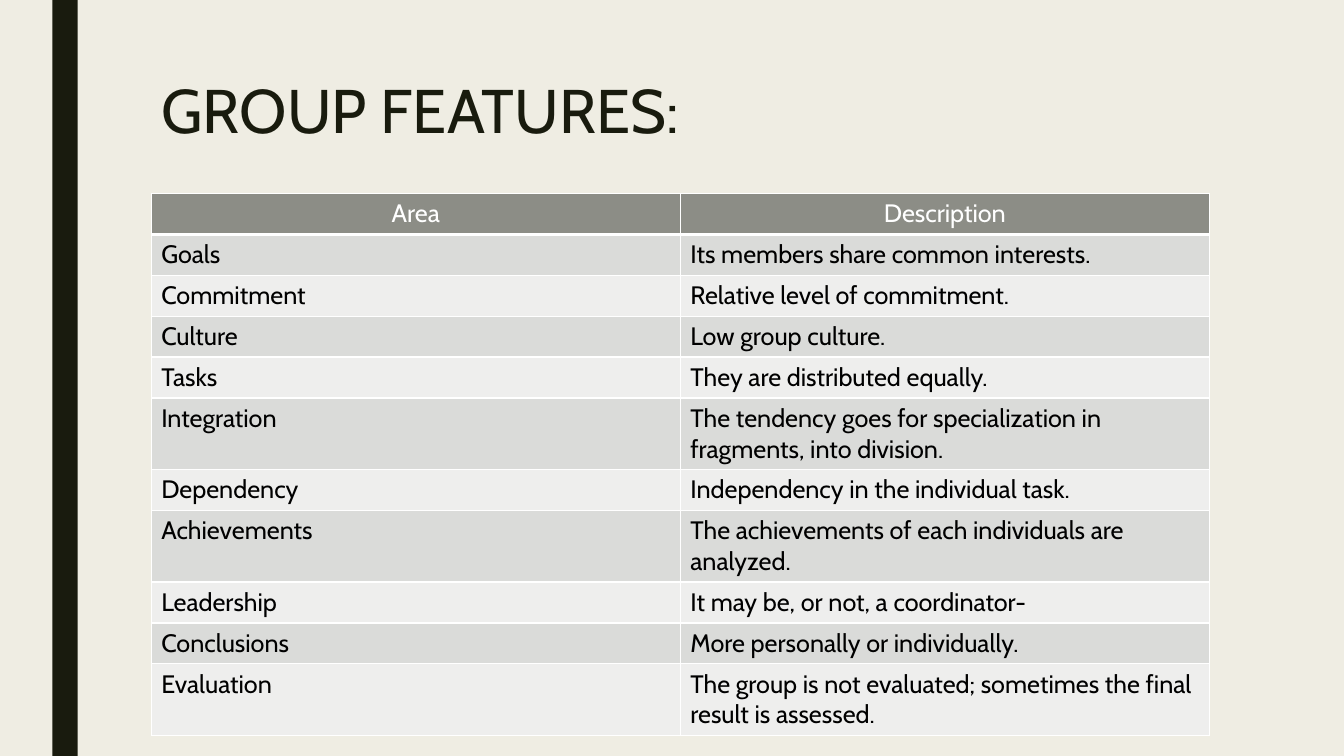
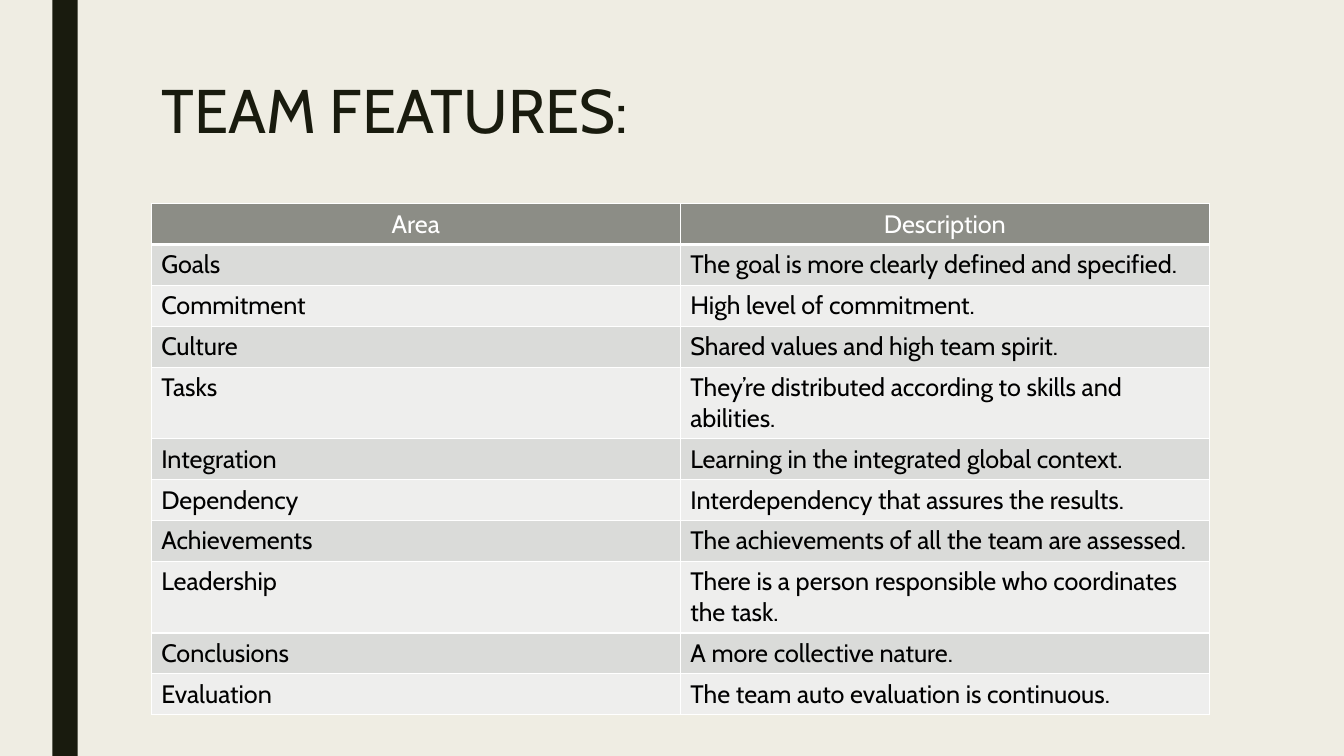
"""Build two slides that compare the features of groups and of teams."""
from lxml.etree import SubElement
from pptx import Presentation
from pptx.dml.color import RGBColor as RGB
from pptx.enum.shapes import MSO_SHAPE as SHAPE
from pptx.enum.text import MSO_ANCHOR as ANCHOR, PP_ALIGN as ALIGN
from pptx.oxml.ns import qn
from pptx.util import Pt

UNIT = 4572
FONT = "Cabin"
PAPER, INK, WHITE, BLACK = "EFEDE3", "191B0E", "FFFFFF", "000000"
HEAD, BANDS = "8C8D86", ("EEEEED", "DADBD9")
LEFT, WIDTH = 300, 2100
LOW, HIGH, LIMIT = 81, 142, 48

AREAS = ("Goals", "Commitment", "Culture", "Tasks", "Integration", "Dependency",
         "Achievements", "Leadership", "Conclusions", "Evaluation")
GROUP = (
    "Its members share common interests.",
    "Relative level of commitment.",
    "Low group culture.",
    "They are distributed equally.",
    "The tendency goes for specialization in fragments, into division.",
    "Independency in the individual task.",
    "The achievements of each individuals are analyzed.",
    "It may be, or not, a coordinator-",
    "More personally or individually.",
    "The group is not evaluated; sometimes the final result is assessed.",
)
TEAM = (
    "The goal is more clearly defined and specified.",
    "High level of commitment.",
    "Shared values and high team spirit.",
    "They’re distributed according to skills and abilities.",
    "Learning in the integrated global context.",
    "Interdependency that assures the results.",
    "The achievements of all the team are assessed.",
    "There is a person responsible who coordinates the task.",
    "A more collective nature.",
    "The team auto evaluation is continuous.",
)


def px(*sizes):
    return [size * UNIT for size in sizes]


def paint(fill, color):
    fill.solid()
    fill.fore_color.rgb = RGB.from_string(color)


def style(para, size, color, align):
    para.alignment = align
    para.font.name = FONT
    para.font.size = Pt(size)
    para.font.color.rgb = RGB.from_string(color)


def add_band(slide):
    band = slide.shapes.add_shape(SHAPE.RECTANGLE, *px(104, 0, 50, 1500))
    band.shadow.inherit = False
    paint(band.fill, INK)
    band.line.fill.background()


def add_title(slide, text):
    title = slide.shapes.title
    title.left, title.top, title.width, title.height = px(LEFT, 150, WIDTH, 324)
    frame = title.text_frame
    frame.text = text
    frame.vertical_anchor = ANCHOR.TOP
    para = frame.paragraphs[0]
    para.line_spacing = 0.89
    style(para, 44, INK, ALIGN.LEFT)


def add_edges(cell, base):
    props = cell._tc.get_or_add_tcPr()
    for side, width in zip("LRTB", (1, 1, 1, base)):
        line = SubElement(props, qn(f"a:ln{side}"), w=str(Pt(width)))
        fill = SubElement(line, qn("a:solidFill"))
        SubElement(fill, qn("a:srgbClr"), val=WHITE)


def fill_cell(cell, text, head, color):
    cell.text = text
    add_edges(cell, 3 if head else 1)
    paint(cell.fill, color)
    style(cell.text_frame.paragraphs[0], 18, WHITE if head else BLACK,
          ALIGN.CENTER if head else ALIGN.LEFT)


def add_grid(slide, top, notes):
    rows = [("Area", "Description"), *zip(AREAS, notes)]
    highs = [HIGH if len(note) > LIMIT else LOW for _, note in rows]
    frame = slide.shapes.add_table(len(rows), 2, *px(LEFT, top, WIDTH, sum(highs)))
    for r, (row, high) in enumerate(zip(rows, highs)):
        frame.table.rows[r].height = high * UNIT
        color = BANDS[r % 2] if r else HEAD
        for c, text in enumerate(row):
            fill_cell(frame.table.cell(r, c), text, r == 0, color)


def add_slide(deck, title, top, notes):
    slide = deck.slides.add_slide(deck.slide_layouts[5])
    add_band(slide)
    add_title(slide, title)
    add_grid(slide, top, notes)


def main():
    deck = Presentation()
    deck.slide_width, deck.slide_height = px(2667, 1500)
    paint(deck.slide_master.background.fill, PAPER)
    add_slide(deck, "GROUP FEATURES:", 384, GROUP)
    add_slide(deck, "TEAM FEATURES:", 404, TEAM)
    deck.save("out.pptx")


if __name__ == "__main__":
    main()
